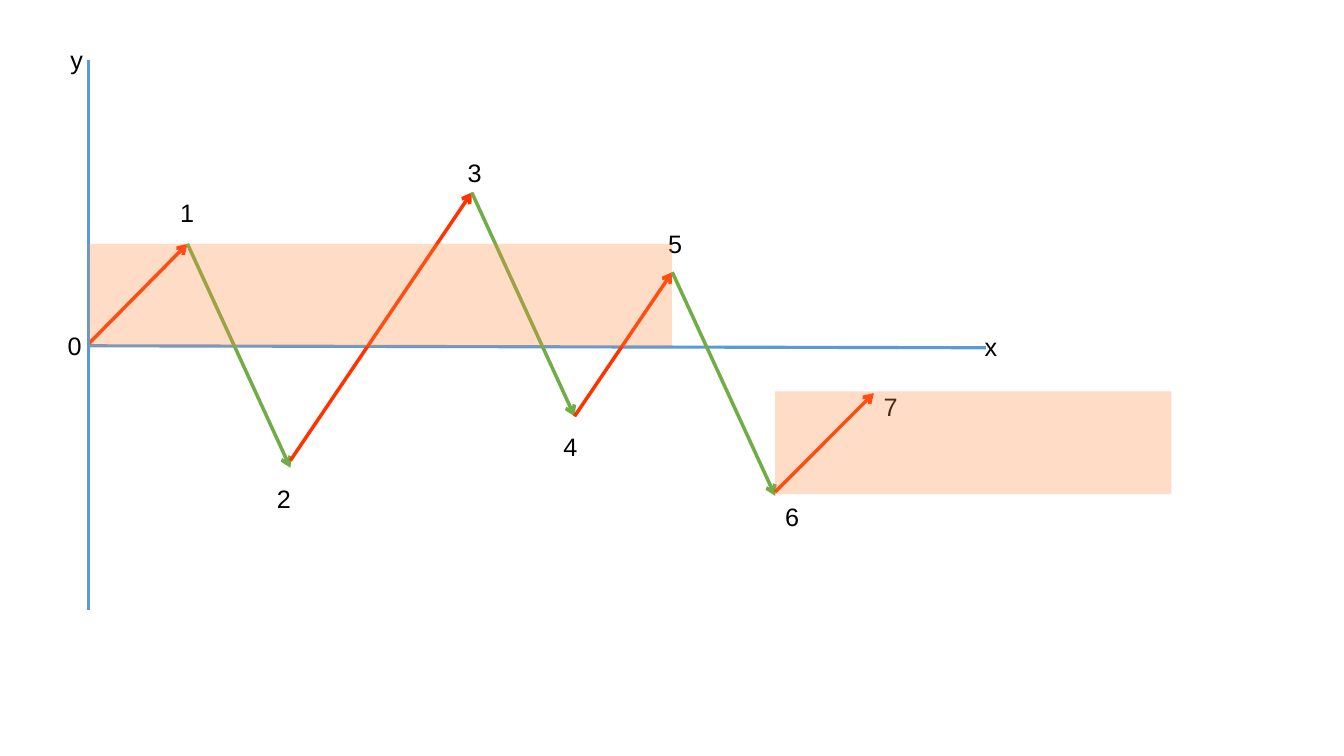
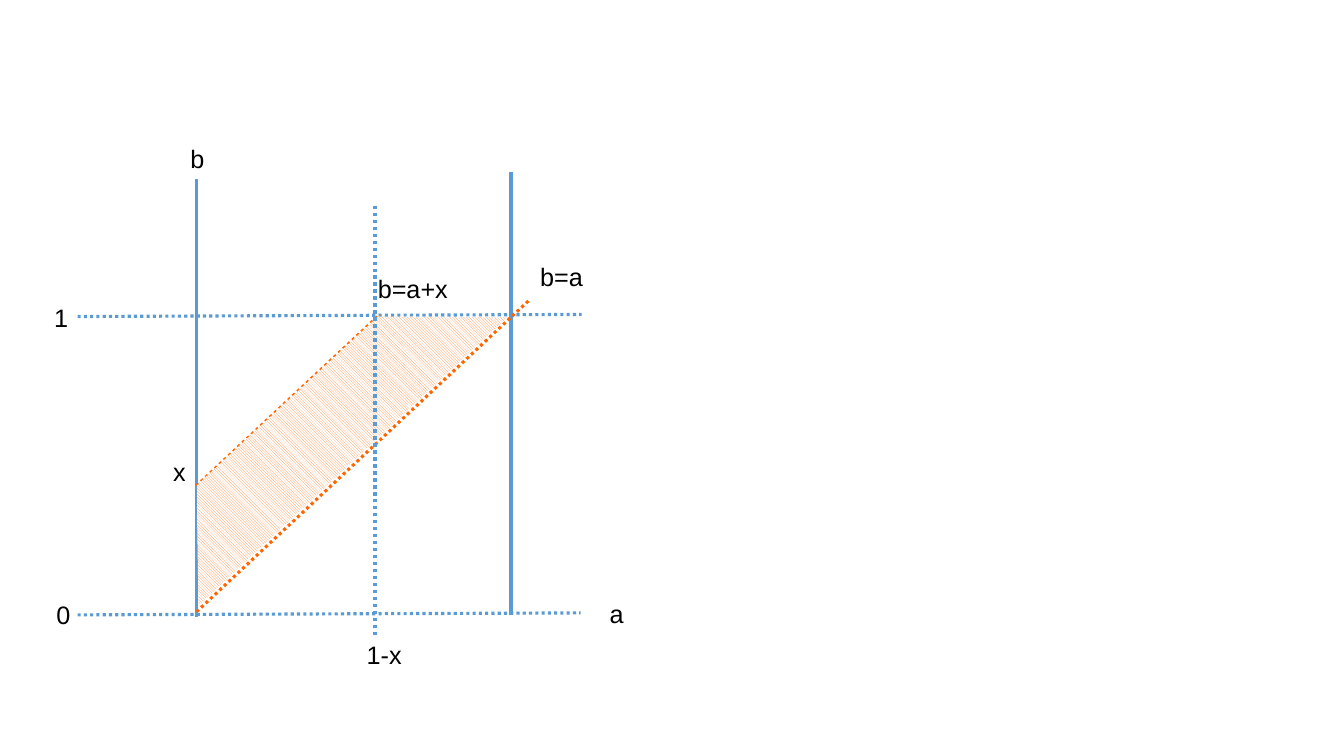
from pptx import Presentation
from pptx.dml.color import RGBColor
from pptx.enum.dml import MSO_LINE, MSO_PATTERN
from pptx.enum.shapes import MSO_CONNECTOR, MSO_SHAPE
from pptx.oxml.ns import qn
from pptx.util import Pt
from lxml import etree

BLUE = RGBColor(0x5B, 0x9B, 0xD5)
RED = RGBColor(0xFF, 0x33, 0x00)
GREEN = RGBColor(0x70, 0xAD, 0x47)
ORANGE = RGBColor(0xFF, 0x66, 0x00)
PEACH = RGBColor(0xFF, 0x8D, 0x41)
WHITE = RGBColor(0xFF, 0xFF, 0xFF)
BLACK = RGBColor(0, 0, 0)
STRAIGHT = MSO_CONNECTOR.STRAIGHT
DOTTED = MSO_LINE.ROUND_DOT
RECT = MSO_SHAPE.RECTANGLE
HATCH = MSO_PATTERN.DARK_DOWNWARD_DIAGONAL


def add_line(s, start, end, color, width=2.5, dash=None, arrow=False):
    line = s.shapes.add_connector(STRAIGHT, *[Pt(v) for v in (*start, *end)])
    line.line.color.rgb = color
    line.line.width = Pt(width)
    if dash:
        line.line.dash_style = dash
    if arrow:
        ln = line.line._get_or_add_ln()
        etree.SubElement(ln, qn("a:tailEnd"), type="arrow")
    etree.SubElement(line._element.spPr, qn("a:effectLst"))


def add_label(s, text, x, y):
    tf = s.shapes.add_textbox(Pt(x), Pt(y), Pt(69), Pt(29)).text_frame
    tf.word_wrap = True
    p = tf.paragraphs[0]
    p.text = text
    p.font.name = "Arial"
    p.font.size = Pt(18)
    p.font.color.rgb = BLACK


prs = Presentation()
prs.slide_width, prs.slide_height = Pt(960), Pt(540)
blank = prs.slide_layouts[6]

# Slide 1: zigzag path around the x axis
s = prs.slides.add_slide(blank)
add_line(s, (63.4, 247), (704.2, 248.4), BLUE, 2.25)

# Steps: red when rising, green when falling
steps = [
    ((63.4, 245.5), (133.9, 174.2)),
    ((133.9, 174.2), (207.4, 334.1)),
    ((207.4, 329), (337, 137.5)),
    ((337, 137.5), (410.4, 297.4)),
    ((410.4, 297.4), (480.2, 194.4)),
    ((480.2, 194.4), (553.7, 354.2)),
    ((553.7, 351.4), (624.2, 280.8)),
]
for start, end in steps:
    color = RED if end[1] < start[1] else GREEN
    add_line(s, start, end, color, arrow=True)

# Labels
for text, x, y in [
    ("0", 41.2, 232.6), ("1", 121.7, 137.5), ("2", 190.8, 342),
    ("3", 326.9, 108.7), ("4", 395.3, 304.6), ("5", 470.2, 159.8),
    ("6", 553.7, 354.2), ("7", 624.2, 275.8), ("y", 43.2, 28.1),
    ("x", 696.2, 233.3),
]:
    add_label(s, text, x, y)
add_line(s, (63.4, 43.2), (63.4, 435.6), BLUE)

# Translucent bands
for x, y, width in [(63.4, 174.2, 416.5), (553.7, 279.6, 283)]:
    band = s.shapes.add_shape(RECT, Pt(x), Pt(y), Pt(width), Pt(73.4))
    band.shadow.inherit = False
    band.line.fill.background()
    band.fill.solid()
    band.fill.fore_color.rgb = PEACH
    rgb = band._element.spPr.find(qn("a:solidFill")).find(qn("a:srgbClr"))
    etree.SubElement(rgb, qn("a:alpha"), val="30000")

# Slide 2: region between b=a and b=a+x
s = prs.slides.add_slide(blank)

# Axes and diagonals
add_line(s, (55.4, 439.2), (414.7, 437.8), BLUE, 2.25, DOTTED)
add_line(s, (140.4, 128.2), (140.4, 440.6), BLUE)
add_line(s, (365, 123.1), (365, 439.2), BLUE)
add_line(s, (55.4, 226.1), (415.4, 224.6), BLUE, 2.25, DOTTED)
add_line(s, (140.4, 437), (378.7, 213.8), ORANGE, 2.25, DOTTED)
add_line(s, (140.4, 347), (271.4, 224.6), ORANGE, 2.25, DOTTED)

# Hatched region
corners = [(140.4, 347), (270, 226.1), (362.2, 226.8), (141.8, 432.7)]
points = [(Pt(x), Pt(y)) for x, y in corners]
builder = s.shapes.build_freeform(*points[0])
builder.add_line_segments(points[1:], close=True)
region = builder.convert_to_shape()
region.shadow.inherit = False
region.line.fill.background()
region.fill.patterned()
region.fill.pattern = HATCH
region.fill.fore_color.rgb = PEACH
region.fill.back_color.rgb = WHITE

add_line(s, (267.8, 146.9), (267.8, 453.6), BLUE, dash=DOTTED)

# Labels
for text, x, y in [
    ("0", 33.2, 424.8), ("1", 31.7, 212.4), ("a", 428.4, 424.1),
    ("b", 128.9, 98.6), ("b=a", 378.7, 182.9), ("x", 116.6, 322.6),
    ("b=a+x", 262.8, 191.5), ("1-x", 254.9, 452.9),
]:
    add_label(s, text, x, y)

prs.save("out.pptx")
